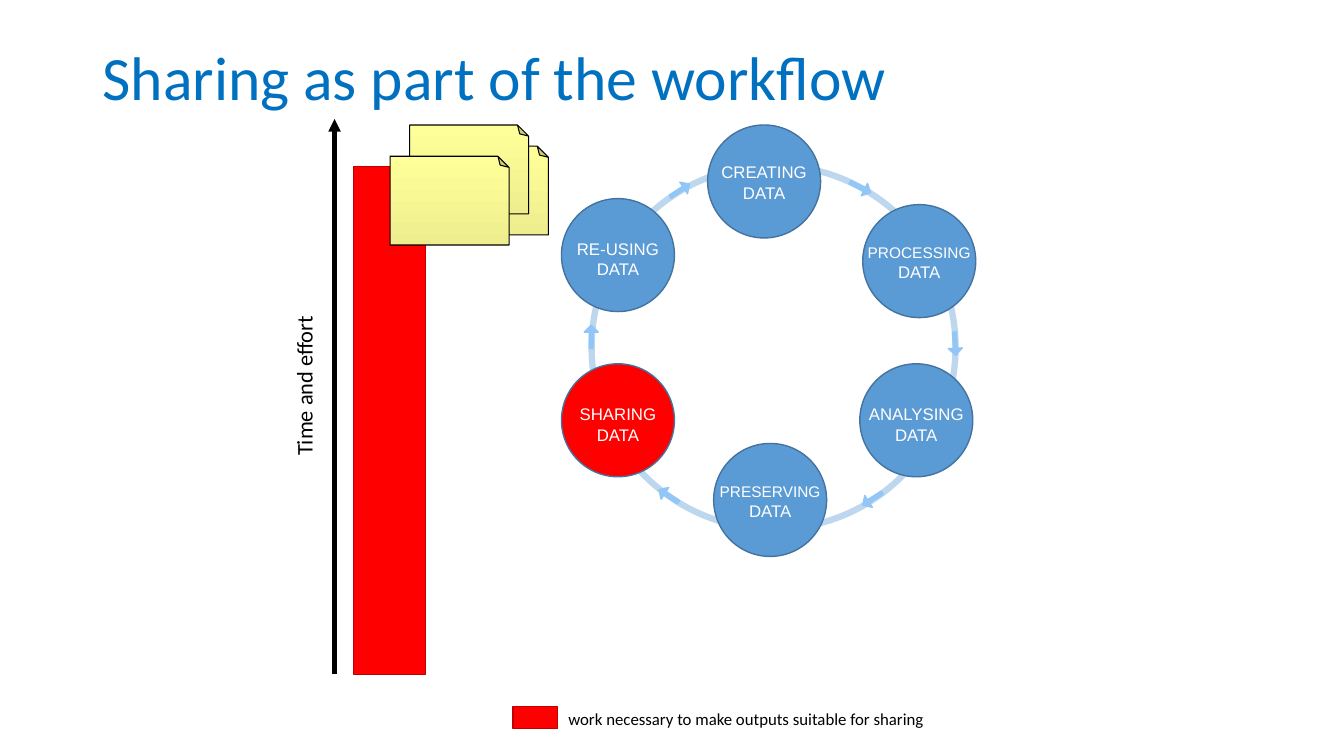
import pptx
import pptx.dml.color
import pptx.enum.shapes
import pptx.enum.text
import pptx.oxml
import pptx.oxml.ns
import pptx.util

Pt = pptx.util.Pt
SHAPE = pptx.enum.shapes.MSO_SHAPE
ALIGN = pptx.enum.text.PP_ALIGN
ANCHOR = pptx.enum.text.MSO_ANCHOR
NAMESPACE = pptx.oxml.ns.nsdecls("a")

COLORS = {
    "title": "0070C0", "ink": "000000", "white": "FFFFFF",
    "ring": "BDD7EE", "stage": "5B9BD5", "stage_edge": "43739E",
    "arrow": "91C6F7", "effort": "FF0000", "effort_edge": "C00000",
    "note_dark": "EEEE8F", "note_light": "FFFF99",
}

STAGE_SIZE = 80.7
ARROW_WIDTH, ARROW_HEIGHT = 16.6, 10
NOTE_WIDTH, NOTE_HEIGHT = 63.4, 85

# Name, centre x, centre y, label width, name size, label rise above centre
STAGES = [
    ("CREATING", 545.8, 129.6, 76, 12, 17.3),
    ("PROCESSING", 656.6, 186.5, 96.5, 11, 17.3),
    ("ANALYSING", 654.5, 300.2, 92, 12, 15),
    ("PRESERVING", 550.1, 357.1, 99.4, 11, 17.3),
    ("SHARING", 441.4, 300.2, 76, 12, 15),
    ("RE-USING", 441.4, 182.2, 76, 12, 15),
]

# Centre x, centre y, rotation
FLOW_ARROWS = [
    (614.5, 133.9, 27), (682.2, 245.5, 86.9), (623.2, 356.4, 147.5),
    (477.7, 354.2, 212.9), (422.3, 240.5, 270), (485.6, 136.1, 326.5),
]

# Left and top of each note before rotation, back to front
NOTES = [(317.5, 93.6), (303.4, 78.5), (289.4, 100.8)]


def rgb(name):
    return pptx.dml.color.RGBColor.from_string(COLORS[name])


def add_figure(slide, kind, left, top, width, height, fill, edge, weight=1):
    figure = slide.shapes.add_shape(kind, Pt(left), Pt(top), Pt(width), Pt(height))
    figure.shadow.inherit = False
    if fill:
        figure.fill.solid()
        figure.fill.fore_color.rgb = rgb(fill)
    else:
        figure.fill.background()
    figure.line.color.rgb = rgb(edge)
    figure.line.width = Pt(weight)
    return figure


def style_run(run, size, color, font):
    run.font.size = Pt(size)
    run.font.name = font
    run.font.color.rgb = rgb(color)


def add_label(slide, text, left, top, width, height, size, color="ink",
              font="Calibri", wrap=False):
    label = slide.shapes.add_textbox(Pt(left), Pt(top), Pt(width), Pt(height))
    label.text_frame.word_wrap = wrap
    label.text_frame.text = text
    for run in label.text_frame.paragraphs[0].runs:
        style_run(run, size, color, font)
    return label


def add_stage(slide, name, x, y, width, size, rise):
    shared = name == "SHARING"
    add_figure(slide, SHAPE.OVAL, x - STAGE_SIZE / 2, y - STAGE_SIZE / 2,
               STAGE_SIZE, STAGE_SIZE, "effort" if shared else "stage", "stage_edge")
    label = add_label(slide, name, x - width / 2, y - rise, width, 36, size,
                      "white", "Arial", wrap=True)
    frame = label.text_frame
    last = frame.add_paragraph() if shared else frame.paragraphs[0]
    data = last.add_run()
    data.text = "DATA" if shared else " DATA"
    style_run(data, 12, "white", "Arial")
    for paragraph in frame.paragraphs:
        paragraph.alignment = ALIGN.CENTER


def add_flow_arrow(slide, x, y, rotation):
    arrow = add_figure(slide, SHAPE.RIGHT_ARROW, x - ARROW_WIDTH / 2,
                       y - ARROW_HEIGHT / 2, ARROW_WIDTH, ARROW_HEIGHT,
                       "arrow", "arrow")
    arrow.adjustments[0] = 0.279
    arrow.rotation = rotation


def add_note(slide, left, top):
    note = add_figure(slide, SHAPE.FOLDED_CORNER, left, top, NOTE_WIDTH,
                      NOTE_HEIGHT, None, "ink", 0.75)
    note.rotation = 270
    note.fill.gradient()
    note.fill.gradient_angle = 0
    for stop, color in zip(note.fill.gradient_stops, ("note_dark", "note_light")):
        stop.color.rgb = rgb(color)
    # Size of the folded corner
    guides = note.element.spPr.find(".//" + pptx.oxml.ns.qn("a:avLst"))
    for guide in list(guides):
        guides.remove(guide)
    guides.append(pptx.oxml.parse_xml(
        f'<a:gd {NAMESPACE} name="adj" fmla="val 12500"/>'))


def add_axis(slide, x, bottom, top):
    axis = slide.shapes.add_connector(
        pptx.enum.shapes.MSO_CONNECTOR.STRAIGHT, Pt(x), Pt(bottom), Pt(x), Pt(top))
    axis.line.color.rgb = rgb("ink")
    axis.line.width = Pt(3)
    properties = axis.element.spPr
    line = properties.find(pptx.oxml.ns.qn("a:ln"))
    line.append(pptx.oxml.parse_xml(f'<a:tailEnd {NAMESPACE} type="triangle"/>'))
    properties.append(pptx.oxml.parse_xml(f"<a:effectLst {NAMESPACE}/>"))


def main():
    deck = pptx.Presentation()
    deck.slide_width, deck.slide_height = Pt(960), Pt(540)
    slide = deck.slides.add_slide(deck.slide_layouts[6])

    # Title
    title = add_label(slide, "Sharing as part of the workflow", 66.2, 28.8, 828, 57,
                      44, "title", wrap=True)
    title.text_frame.vertical_anchor = ANCHOR.MIDDLE
    title.text_frame.paragraphs[0].line_spacing = 0.9

    # Data lifecycle
    add_figure(slide, SHAPE.OVAL, 422.6, 118.1, 260, 260, None, "ring", 4.5)
    for stage in STAGES:
        add_stage(slide, *stage)
    for arrow in FLOW_ARROWS:
        add_flow_arrow(slide, *arrow)

    # Effort axis and bar
    add_axis(slide, 239, 481.7, 85)
    effort = add_label(slide, "Time and effort", 159.1, 261.4, 116, 26.6, 16)
    effort.rotation = 270
    add_figure(slide, SHAPE.RECTANGLE, 252.7, 118.8, 51.1, 362.9,
               "effort", "effort_edge")

    # Stack of outputs
    for note in NOTES:
        add_note(slide, *note)

    # Legend
    add_figure(slide, SHAPE.RECTANGLE, 366.5, 504.7, 31.7, 15.8,
               "effort", "effort_edge")
    add_label(slide, "work necessary to make outputs suitable for sharing",
              398.9, 502.6, 271.4, 21.6, 12)

    deck.save("out.pptx")


if __name__ == "__main__":
    main()
